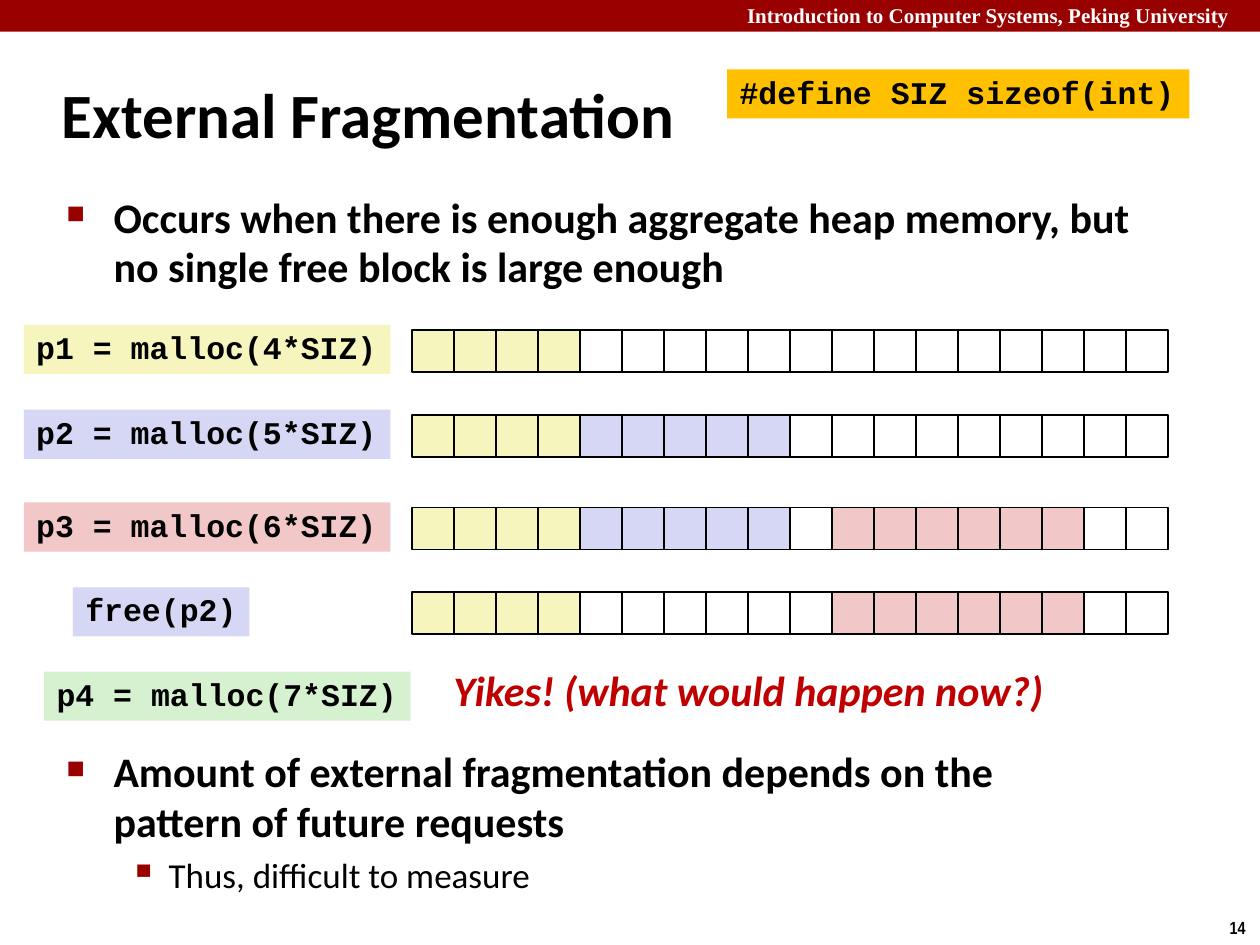
from pptx import Presentation
from pptx.dml.color import RGBColor
from pptx.enum.shapes import MSO_SHAPE
from pptx.enum.text import MSO_ANCHOR, MSO_AUTO_SIZE, PP_ALIGN
from pptx.oxml.ns import qn
from pptx.util import Cm, Pt
from lxml import etree

RECTANGLE = MSO_SHAPE.RECTANGLE
MIDDLE, TOP = MSO_ANCHOR.MIDDLE, MSO_ANCHOR.TOP
LEFT = PP_ALIGN.LEFT
FIXED = MSO_AUTO_SIZE.NONE

BLACK, WHITE, CRIMSON, RED = "000000", "FFFFFF", "990000", "C00000"
YELLOW, LILAC, PINK, GREEN, AMBER = "F6F5BD", "D6D6F5", "F1C7C7", "D5F1CF", "FFC000"

CODE = {"name": "Courier New", "size": Pt(18), "bold": True, "color": BLACK}
HEADING = {"name": "Calibri", "size": Pt(36), "bold": True, "color": BLACK}
POINT = {"name": "Calibri", "size": Pt(24), "bold": True, "color": BLACK}
DETAIL = {**POINT, "size": Pt(20), "bold": False}
QUESTION = {**POINT, "italic": True, "color": RED}
COURSE = {"name": "Times New Roman", "size": Pt(12), "bold": True, "color": WHITE}
NUMBER = {"name": "Arial Narrow", "size": Pt(10), "bold": True, "color": BLACK}

TITLE = "External Fragmentation"
LABELS = [
    ("Introduction to Computer Systems, Peking University", COURSE, 14.81, -0.08, 10.77, 0.76),
    ("14", NUMBER, 24.54, 18.36, 0.86, 0.69),
    ("Yikes! (what would happen now?)", QUESTION, 8.89, 13.28, 12.5, 1.27),
]

TOP_BULLET = {"char": "■", "percent": 60, "margin": 0.95, "hang": 0.95}
SUB_BULLET = {"char": "▪", "percent": 110, "margin": 2.06, "hang": 0.79}
BULLETS = [
    ("Occurs when there is enough aggregate heap memory, but no single free block is large enough",
     POINT, TOP_BULLET, 0, 0),
    ("Amount of external fragmentation depends on the pattern of future requests",
     POINT, TOP_BULLET, 0, 260.5),
    ("Thus, difficult to measure", DETAIL, SUB_BULLET, 1, 4.5),
]

CODE_WIDTH = 7.39
STATEMENTS = [
    ("#define SIZ sizeof(int)", AMBER, 14.66, 1.4, 9.32),
    ("p4 = malloc(7*SIZ)", GREEN, 0.89, 13.54, CODE_WIDTH),
]
HEAP_STEPS = [
    ("p1 = malloc(4*SIZ)", YELLOW, 0.48, CODE_WIDTH, 6.65,
     [(YELLOW, 4), (WHITE, 14)]),
    ("p2 = malloc(5*SIZ)", LILAC, 0.48, CODE_WIDTH, 8.36,
     [(YELLOW, 4), (LILAC, 5), (WHITE, 9)]),
    ("p3 = malloc(6*SIZ)", PINK, 0.48, CODE_WIDTH, 10.23,
     [(YELLOW, 4), (LILAC, 5), (WHITE, 1), (PINK, 6), (WHITE, 2)]),
    ("free(p2)", LILAC, 1.47, 3.56, 11.94,
     [(YELLOW, 4), (WHITE, 6), (PINK, 6), (WHITE, 2)]),
]
HEAP_LEFT = Cm(8.31)
CELL = Cm(2.54) // 3


def color(value):
    return RGBColor.from_string(value)


def format_font(font, style):
    for key, value in style.items():
        if key == "color":
            font.color.rgb = color(value)
        else:
            setattr(font, key, value)


def set_text(shape, text, style, anchor=TOP, wrap=False, spacing=1.0):
    frame = shape.text_frame
    frame.auto_size = FIXED
    frame.word_wrap = wrap
    frame.vertical_anchor = anchor
    para = frame.paragraphs[0]
    para.text = text
    para.alignment = LEFT
    para.line_spacing = spacing
    format_font(para.runs[0].font, style)


def add_rectangle(shapes, fill, left, top, width, height, outline=None):
    box = shapes.add_shape(RECTANGLE, left, top, width, height)
    box.shadow.inherit = False
    box.fill.solid()
    box.fill.fore_color.rgb = color(fill)
    if outline:
        box.line.color.rgb = color(outline)
        box.line.width = Pt(1)
    else:
        box.line.fill.background()
    return box


def add_statement(slide, text, fill, left, top, width):
    box = add_rectangle(slide.shapes, fill, Cm(left), Cm(top), Cm(width), Cm(0.99))
    set_text(box, text, CODE, spacing=0.94)


def add_heap(slide, top, blocks):
    heap = slide.shapes.add_group_shape()
    fills = [fill for fill, count in blocks for _ in range(count)]
    for index, fill in enumerate(fills):
        add_rectangle(heap.shapes, fill, HEAP_LEFT + index * CELL, Cm(top), CELL, CELL, BLACK)


def add_bullet(para, bullet):
    properties = para._p.get_or_add_pPr()
    properties.set("marL", str(Cm(bullet["margin"])))
    properties.set("indent", str(-Cm(bullet["hang"])))
    tint = etree.SubElement(properties, qn("a:buClr"))
    etree.SubElement(tint, qn("a:srgbClr"), val=CRIMSON)
    etree.SubElement(properties, qn("a:buSzPct"), val=str(bullet["percent"] * 1000))
    etree.SubElement(properties, qn("a:buChar"), char=bullet["char"])


def add_points(slide):
    frame = slide.shapes.add_textbox(Cm(1.09), Cm(3.78), Cm(21.95), Cm(13.82)).text_frame
    frame.word_wrap = True
    for index, (text, style, bullet, level, before) in enumerate(BULLETS):
        para = frame.add_paragraph() if index else frame.paragraphs[0]
        add_bullet(para, bullet)
        para.level = level
        para.line_spacing = 0.98
        para.space_before = Pt(before)
        span = para.add_run()
        span.text = text
        format_font(span.font, style)


def main():
    deck = Presentation()
    deck.slide_width, deck.slide_height = Cm(25.4), Cm(19.05)
    page = deck.slides.add_slide(deck.slide_layouts[5])

    title = page.shapes.title
    title.left, title.top, title.width, title.height = Cm(0.99), Cm(1.22), Cm(21.08), Cm(2.11)
    set_text(title, TITLE, HEADING, anchor=MIDDLE, wrap=True)

    add_rectangle(page.shapes, CRIMSON, 0, 0, deck.slide_width, Cm(0.64))
    add_points(page)
    for text, style, *bounds in LABELS:
        set_text(page.shapes.add_textbox(*map(Cm, bounds)), text, style)
    for statement in STATEMENTS:
        add_statement(page, *statement)
    for text, fill, left, width, top, blocks in HEAP_STEPS:
        add_statement(page, text, fill, left, top - 0.1, width)
        add_heap(page, top, blocks)

    deck.save("out.pptx")


if __name__ == "__main__":
    main()
